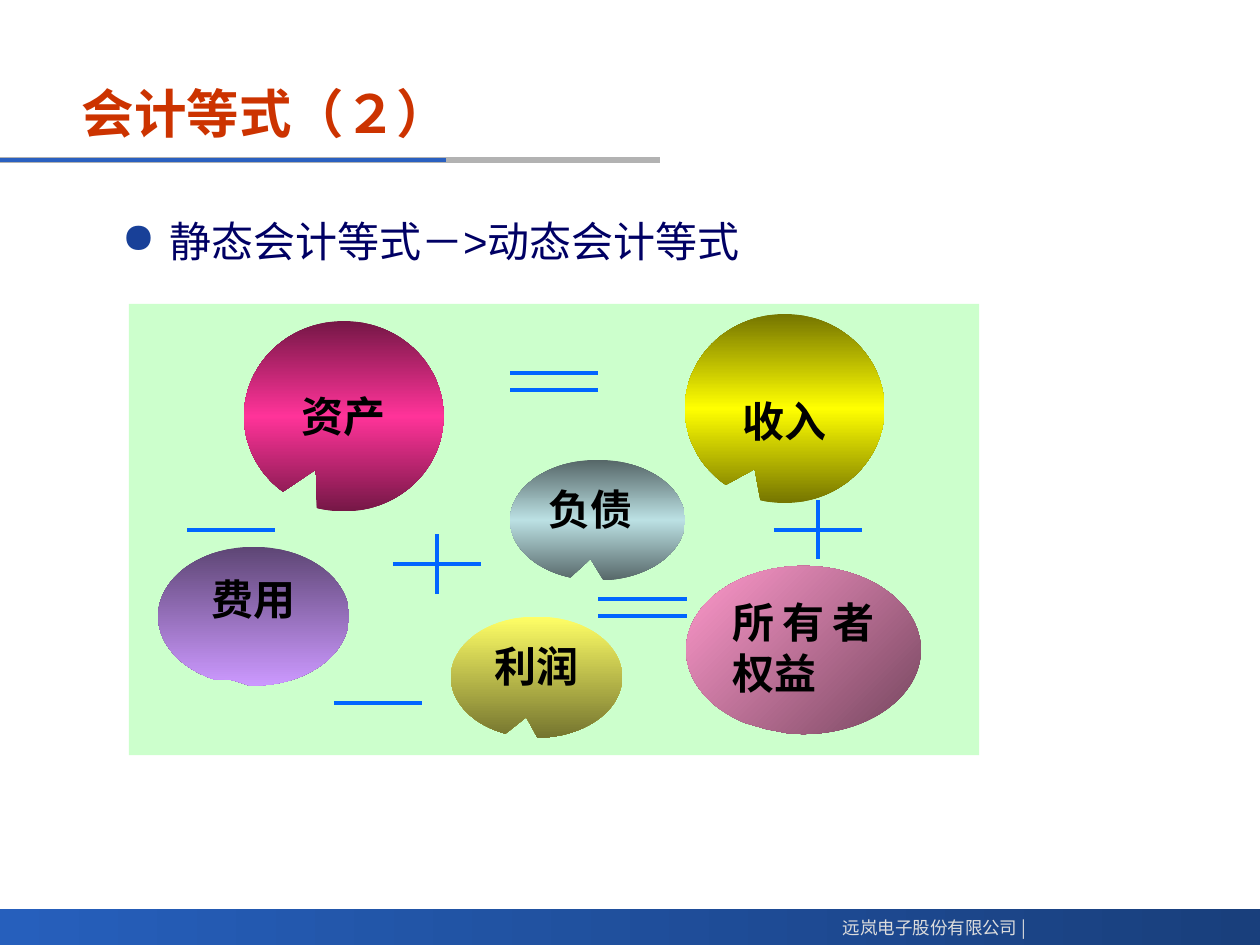
from copy import deepcopy
from dataclasses import dataclass

from lxml.etree import SubElement
from pptx import Presentation
from pptx.dml.color import RGBColor
from pptx.enum.shapes import MSO_CONNECTOR as Connector, MSO_SHAPE as Shape
from pptx.enum.text import MSO_ANCHOR as Anchor, PP_ALIGN as Align
from pptx.oxml.ns import qn
from pptx.util import Pt


@dataclass(frozen=True)
class Theme:
    title: str = "CC3300"
    body: str = "000064"
    bullet: str = "184098"
    label: str = "000000"
    footer: str = "DDDDDD"
    footer_bar: tuple = ("193F7C", "265FBC")
    rule_blue: str = "2A60C0"
    rule_grey: str = "B2B2B2"
    panel: str = "CCFFCC"
    operator: str = "0066FF"
    title_size: int = 30
    text_size: int = 24
    footer_size: int = 10
    sans: str = "Arial"
    serif: str = "Times New Roman"
    east_asian: str = "Noto Sans CJK SC"


def write_text(frame, text, *, size, color, font, theme, bold=False,
               align=Align.LEFT, anchor=Anchor.TOP, wrap=True, top_inset=3.6):
    frame.word_wrap = wrap
    frame.vertical_anchor = anchor
    frame.margin_left = frame.margin_right = Pt(7.2)
    frame.margin_top, frame.margin_bottom = Pt(top_inset), Pt(3.6)
    paragraph = frame.paragraphs[0]
    paragraph.alignment = align
    run = paragraph.add_run()
    run.text = text
    run.font.size, run.font.bold, run.font.name = Pt(size), bold, font
    run.font.color.rgb = RGBColor.from_string(color)
    run._r.get_or_add_rPr().get_or_add_latin().addnext(
        SubElement(run._r.rPr, qn("a:ea"), typeface=theme.east_asian))
    return paragraph


class SlideBuilder:
    def __init__(self, slide, theme):
        self.slide, self.theme = slide, theme
        self.shapes = slide.shapes

    def start_group(self):
        """Send all later elements into a new group."""
        self.shapes = self.slide.shapes.add_group_shape().shapes

    def title(self, text, left, top, width, height):
        title = self.slide.shapes.title
        title.left, title.top = Pt(left), Pt(top)
        title.width, title.height = Pt(width), Pt(height)
        write_text(title.text_frame, text, size=self.theme.title_size, bold=True,
                   color=self.theme.title, font=self.theme.sans,
                   anchor=Anchor.MIDDLE, theme=self.theme)

    def text(self, text, left, top, width, height, **style):
        box = self.shapes.add_textbox(Pt(left), Pt(top), Pt(width), Pt(height))
        return write_text(box.text_frame, text, theme=self.theme, **style)

    def bullet(self, text, left, top, width, height):
        paragraph = self.text(text, left, top, width, height, font=self.theme.sans,
                              size=self.theme.text_size, color=self.theme.body)
        paragraph.space_before = paragraph.space_after = Pt(6)
        properties = paragraph._p.get_or_add_pPr()
        properties.set("marL", str(Pt(27)))
        properties.set("indent", str(-Pt(27)))
        bullet_color = SubElement(properties, qn("a:buClr"))
        SubElement(bullet_color, qn("a:srgbClr"), val=self.theme.bullet)
        SubElement(properties, qn("a:buChar"), char="●")

    def shape(self, kind, left, top, width, height, colors, angle=90):
        """Fill with one colour, or with evenly spaced stops at a clockwise angle."""
        shape = self.shapes.add_shape(kind, Pt(left), Pt(top), Pt(width), Pt(height))
        shape.shadow.inherit = False
        shape.line.fill.background()
        fill = shape.fill
        if len(colors) == 1:
            fill.solid()
            fill.fore_color.rgb = RGBColor.from_string(colors[0])
            return shape
        fill.gradient()
        fill.gradient_angle = -angle % 360
        stops = shape._element.spPr.find(qn("a:gradFill")).find(qn("a:gsLst"))
        for _ in colors[2:]:
            stops.append(deepcopy(stops[0]))
        for index, (stop, color) in enumerate(zip(fill.gradient_stops, colors)):
            stop.position = index / (len(colors) - 1)
            stop.color.rgb = RGBColor.from_string(color)
        return shape

    def balloon(self, text, left, top, width, height, pointer, colors,
                angle=90, align=Align.CENTER, top_inset=3.6):
        balloon = self.shape(Shape.OVAL_CALLOUT, left, top, width, height, colors, angle)
        balloon.adjustments[0], balloon.adjustments[1] = pointer
        write_text(balloon.text_frame, text, size=self.theme.text_size, bold=True,
                   color=self.theme.label, font=self.theme.serif, align=align,
                   top_inset=top_inset, theme=self.theme)

    def line(self, x1, y1, x2, y2, color, weight=2.25):
        line = self.shapes.add_connector(
            Connector.STRAIGHT, Pt(x1), Pt(y1), Pt(x2), Pt(y2))
        line.line.color.rgb = RGBColor.from_string(color)
        line.line.width = Pt(weight)
        SubElement(line._element.spPr, qn("a:effectLst"))

    def minus(self, x, y):
        self.line(x - 25.2, y, x + 25.2, y, self.theme.operator)

    def equals(self, x, y):
        self.minus(x, y - 5)
        self.minus(x, y + 5)

    def plus(self, x, y):
        self.minus(x, y)
        self.line(x, y - 17, x, y + 17, self.theme.operator)


def main():
    theme = Theme()
    presentation = Presentation()
    presentation.slide_width, presentation.slide_height = Pt(720), Pt(540)
    slide = presentation.slides.add_slide(presentation.slide_layouts[5])
    builder = SlideBuilder(slide, theme)

    builder.shape(Shape.RECTANGLE, 0, 519.5, 720, 20.5, theme.footer_bar, angle=180)
    builder.line(0, 91.4, 377.3, 91.4, theme.rule_grey, 3)
    builder.line(0, 91.4, 255, 91.4, theme.rule_blue)
    builder.text("远岚电子股份有限公司 |", 470, 520.5, 123.3, 19.5,
                 size=theme.footer_size, color=theme.footer,
                 font=theme.east_asian, align=Align.RIGHT, wrap=False)
    builder.title("会计等式（２）", 39.6, 40.3, 498.2, 48.2)
    builder.bullet("静态会计等式－>动态会计等式", 62.6, 119.5, 598.3, 374.4)

    builder.start_group()
    builder.shape(Shape.RECTANGLE, 73.6, 173.7, 486, 257.8, [theme.panel])
    builder.balloon("收入", 391.4, 179.5, 114, 108, (-0.15, 0.32),
                    ("757500", "FFFF00", "757500"), top_inset=31)
    builder.equals(316.7, 218.1)
    builder.plus(249.7, 322.4)
    builder.minus(132.2, 302.9)
    builder.plus(467.4, 302.6)
    builder.equals(367.1, 347.1)
    builder.minus(216, 401.8)
    builder.balloon("资产", 139.5, 183.5, 114, 108.8, (-0.14, 0.28),
                    ("751746", "FF3399", "751746"), top_inset=24)
    builder.balloon("费用", 90.4, 312.5, 109.2, 79.3, (-0.11, 0.46),
                    ("5E4675", "CC99FF"))
    builder.balloon("利润", 257.7, 352.3, 97.9, 69.3, (-0.06, 0.33),
                    ("FFFF66", "75752F"))
    builder.balloon("所有者权益", 392.1, 323.4, 134.2, 96.1, (-0.16, 0.47),
                    ("75465E", "FF99CC"), angle=225, align=Align.JUSTIFY)
    builder.balloon("负债", 291.5, 262.8, 100, 69, (-0.04, 0.32),
                    ("566768", "BBE0E3", "566768"), align=Align.JUSTIFY)
    presentation.save("out.pptx")


if __name__ == "__main__":
    main()
